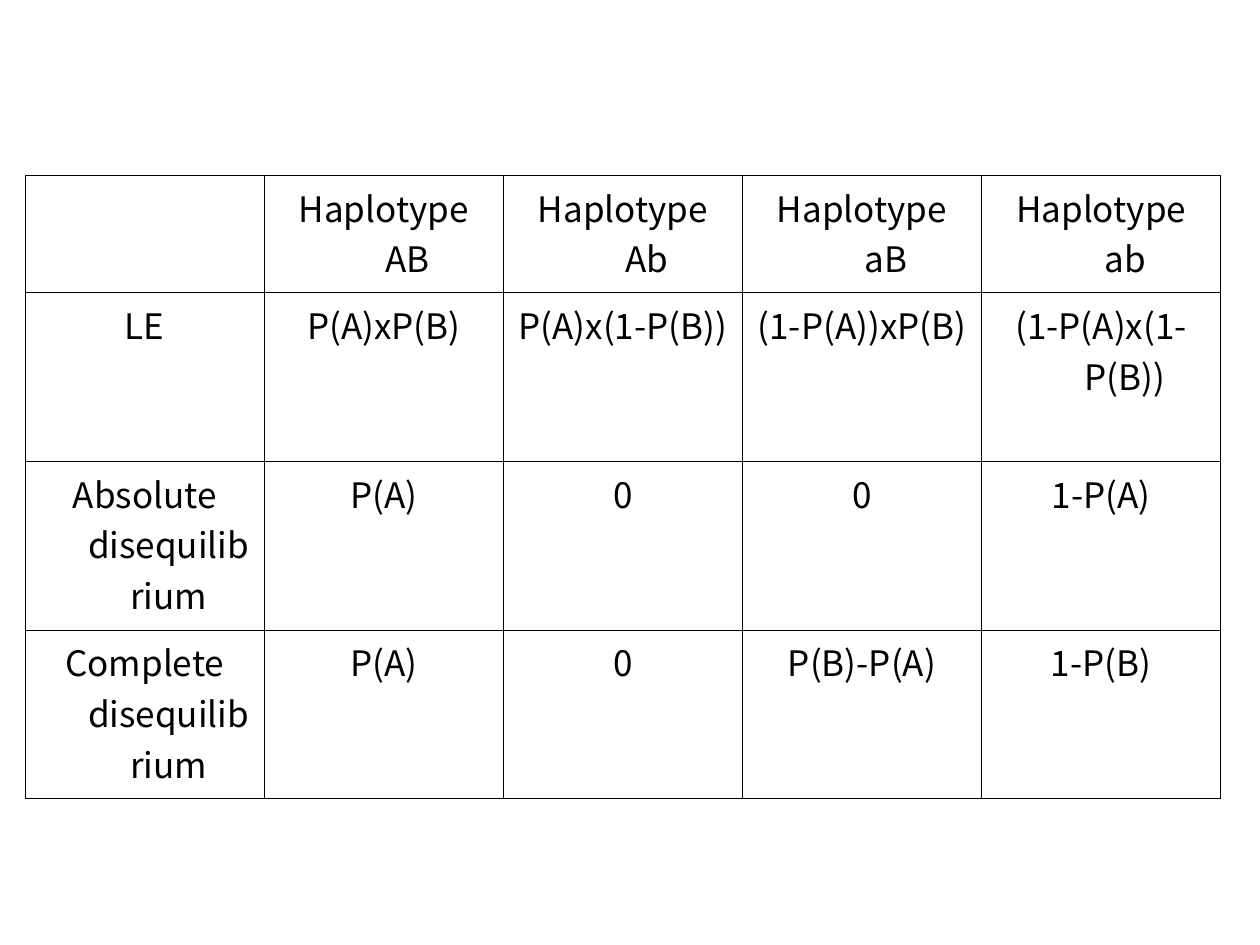
from lxml.etree import SubElement
from pptx import Presentation
from pptx.dml.color import RGBColor
from pptx.enum.text import PP_ALIGN
from pptx.oxml.ns import qn
from pptx.util import Inches, Pt

FONT = "Noto Sans CJK JP"
BLACK = "000000"
INDENT = Inches(0.38)
ROWS = [
    ["", "Haplotype AB", "Haplotype Ab", "Haplotype aB", "Haplotype ab"],
    ["LE", "P(A)xP(B)", "P(A)x(1-P(B))", "(1-P(A))xP(B)", "(1-P(A)x(1-P(B))"],
    ["Absolute disequilibrium", "P(A)", "0", "0", "1-P(A)"],
    ["Complete disequilibrium", "P(A)", "0", "P(B)-P(A)", "1-P(B)"],
]


def color(code):
    return RGBColor.from_string(code)


def add_borders(cell, code, width):
    props = cell._tc.get_or_add_tcPr()
    for side in ("a:lnL", "a:lnR", "a:lnT", "a:lnB"):
        line = SubElement(props, qn(side), w=str(width))
        fill = SubElement(line, qn("a:solidFill"))
        SubElement(fill, qn("a:srgbClr"), val=code)


def fill_cell(cell, text):
    add_borders(cell, BLACK, Pt(0.45))
    cell.fill.background()
    cell.margin_left = cell.margin_right = Inches(0.1)
    cell.margin_top = cell.margin_bottom = Inches(0.05)
    cell.text = text
    para = cell.text_frame.paragraphs[0]
    para.alignment = PP_ALIGN.CENTER
    para.font.name = FONT
    para.font.size = Pt(20)
    para.font.bold = False
    para.font.color.rgb = color(BLACK)
    # Hanging indent: wrapped lines start further right than the first
    props = para._p.get_or_add_pPr()
    props.set("marL", str(INDENT))
    props.set("indent", str(-INDENT))


def add_grid(slide, left, top, width, head, body):
    """Place the haplotype table: one row of height head, the rest of height body."""
    height = head + body * (len(ROWS) - 1)
    frame = slide.shapes.add_table(len(ROWS), len(ROWS[0]), left, top, width, height)
    table = frame.table
    table.first_row = table.horz_banding = False
    for r, texts in enumerate(ROWS):
        table.rows[r].height = body if r else head
        for c, text in enumerate(texts):
            fill_cell(table.cell(r, c), text)


def main():
    prs = Presentation()
    prs.slide_width, prs.slide_height = Inches(10), Inches(7.5)
    slide = prs.slides.add_slide(prs.slide_layouts[6])
    add_grid(slide, Inches(0.2), Inches(1.39), Inches(9.49), Inches(0.93), Inches(1.34))
    prs.save("out.pptx")


if __name__ == "__main__":
    main()
